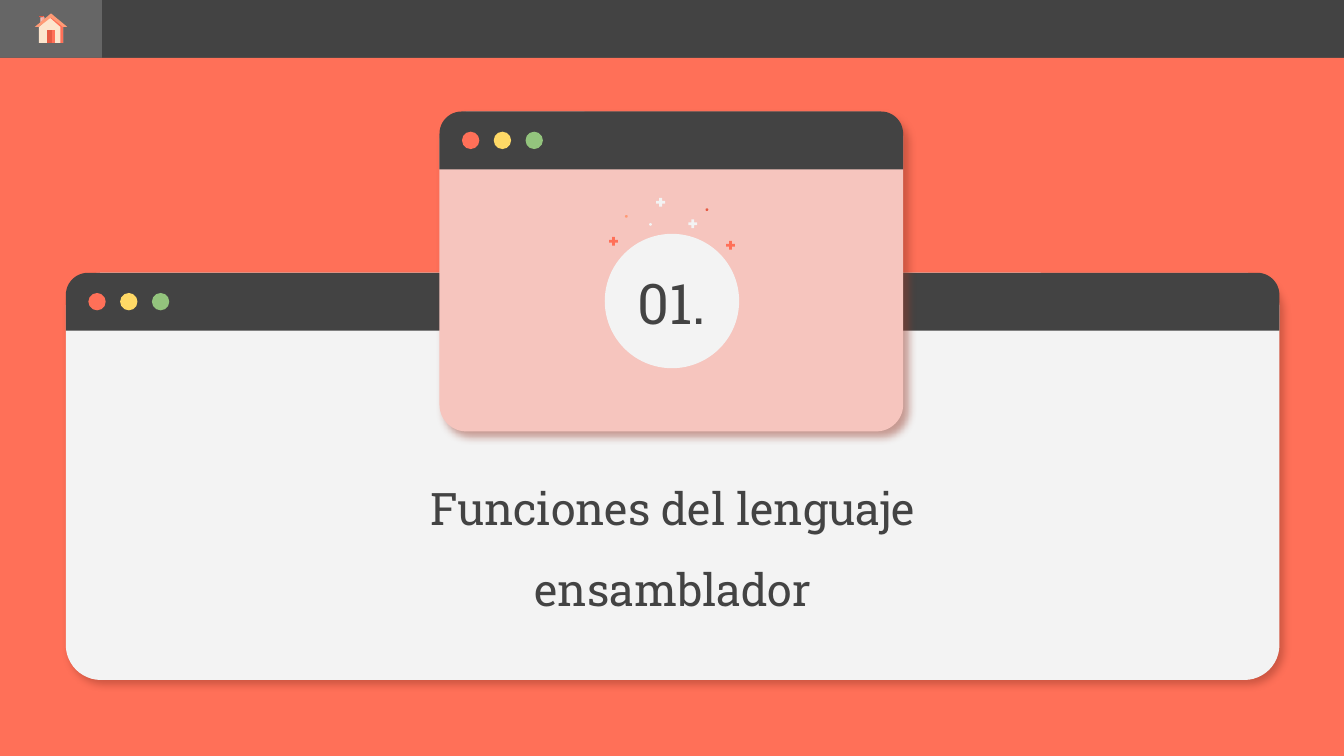
from lxml import etree
from pptx import Presentation
from pptx import util as u
from pptx.dml.color import RGBColor
from pptx.enum import shapes, text
from pptx.oxml.ns import qn

CORAL = RGBColor(0xFF, 0x70, 0x58)
DARK = RGBColor(0x43, 0x43, 0x43)
GREY = RGBColor(0x66, 0x66, 0x66)
PALE = RGBColor(0xF3, 0xF3, 0xF3)
PINK = RGBColor(0xF6, 0xC5, 0xBE)
ROSE = RGBColor(0xF9, 0xAB, 0xA0)
YELLOW = RGBColor(0xFF, 0xD9, 0x66)
GREEN = RGBColor(0x93, 0xC4, 0x7D)
RED = RGBColor(0xE5, 0x5A, 0x43)
ORANGE = RGBColor(0xFF, 0x9A, 0x75)
CREAM = RGBColor(0xFC, 0xE5, 0xCD)
SHADOW = RGBColor(0x96, 0x3A, 0x2A)

FONT = "Roboto Slab"
W = 10
H = W * 9 / 16
BAR = 0.43
KIND = shapes.MSO_SHAPE


def paint(sp, color):
    sp.shadow.inherit = False
    sp.fill.solid()
    sp.fill.fore_color.rgb = color
    sp.line.fill.background()


def add_shape(parent, kind, box, color, adj=()):
    sp = parent.shapes.add_shape(kind, *map(u.Inches, box))
    paint(sp, color)
    for i, value in enumerate(adj):
        sp.adjustments[i] = value
    return sp


def cast_shadow(sp):
    effects = sp._element.spPr.find(qn("a:effectLst"))
    shadow = etree.SubElement(
        effects, qn("a:outerShdw"), blurRad=str(u.Pt(4.5)), dist=str(u.Pt(3.8)),
        dir=str(49 * 60000), algn="bl", rotWithShape="0")
    color = etree.SubElement(shadow, qn("a:srgbClr"), val=str(SHADOW))
    etree.SubElement(color, qn("a:alpha"), val="47000")


def add_window(s, box, color, corner):
    x, y, w, h = box
    group = s.shapes.add_group_shape()
    cast_shadow(add_shape(group, KIND.ROUNDED_RECTANGLE, box, color, [corner]))
    add_shape(group, KIND.ROUND_2_SAME_RECTANGLE, (x, y, w, BAR), DARK, [0.383, 0])
    dot = BAR * 0.3
    for i, dot_color in enumerate((CORAL, YELLOW, GREEN)):
        left = x + BAR * (0.39 + 0.55 * i)
        add_shape(group, KIND.OVAL, (left, y + BAR * 0.35, dot, dot), dot_color)


def add_badge(s, box):
    x, y, w, h = box
    group = s.shapes.add_group_shape()
    add_shape(group, KIND.OVAL, box, PALE)
    pluses = [(0.02, 0.01, CORAL), (0.89, 0.04, CORAL),
              (0.61, -0.12, PALE), (0.37, -0.28, PALE)]
    specks = [(0.75, -0.19, RED), (0.33, -0.08, PALE), (0.15, -0.14, ORANGE)]
    for kind, size, adj, marks in ((KIND.MATH_PLUS, 0.09, [0.235], pluses),
                                   (KIND.OVAL, 0.02, [], specks)):
        for dx, dy, color in marks:
            mark = (x + dx * w, y + dy * h, size * w, size * h)
            add_shape(group, kind, mark, color, adj)


def write(sp, box, words, size, spacing):
    sp.left, sp.top, sp.width, sp.height = map(u.Inches, box)
    tf = sp.text_frame
    tf.word_wrap = True
    tf.auto_size = text.MSO_AUTO_SIZE.NONE
    tf.vertical_anchor = text.MSO_ANCHOR.MIDDLE
    tf.margin_left = tf.margin_right = tf.margin_top = tf.margin_bottom = u.Inches(0.1)
    p = tf.paragraphs[0]
    p.alignment = text.PP_ALIGN.CENTER
    p.line_spacing = spacing
    r = p.add_run()
    r.text = words
    r.font.size = u.Pt(size)
    r.font.name = FONT
    r.font.color.rgb = DARK


def add_navigation(s, box, home_width, tabs):
    x, y, w, h = box
    add_shape(s, KIND.RECTANGLE, box, DARK)
    add_shape(s, KIND.RECTANGLE, (x, y, home_width, h), GREY)
    tab = (w - home_width) / tabs
    for i in range(tabs):
        add_shape(s, KIND.RECTANGLE, (x + home_width + i * tab, y, tab, h), DARK)


def add_house(s, box):
    x, y, w, h = box
    group = s.shapes.add_group_shape()
    parts = [
        (PINK, [(4, 3), (4, 7), (7, 4), (7, 3)]),
        (ROSE, [(5, 3), (5, 6), (7, 4), (7, 3)]),
        (CREAM, [(12, 2), (3, 10), (3, 22), (21, 22), (21, 10)]),
        (CORAL, [(12, 2), (11, 3), (19, 10), (19, 22), (21, 22), (21, 10)]),
        (RED, [(3, 2), (3, 3), (7, 3), (7, 2)]),
        (RED, [(9, 12), (9, 22), (15, 22), (15, 12)]),
        (CORAL, [(13, 12), (13, 22), (15, 22), (15, 12)]),
        (ORANGE, [(12, 0), (0, 10), (3, 10), (12, 3), (21, 10), (24, 10)]),
        (CORAL, [(6, 2), (6, 3), (7, 3), (7, 2)]),
    ]
    for color, cells in parts:
        points = [(u.Inches(x + c * w / 24), u.Inches(y + r * h / 22)) for c, r in cells]
        outline = group.shapes.build_freeform(*points[0])
        outline.add_line_segments(points[1:], close=True)
        paint(outline.convert_to_shape(), color)


def main():
    prs = Presentation()
    prs.slide_width, prs.slide_height = u.Inches(W), u.Inches(H)
    s = prs.slides.add_slide(prs.slide_layouts[5])
    s.background.fill.solid()
    s.background.fill.fore_color.rgb = CORAL

    add_window(s, (0.49, 2.03, 9.03, 3.03), PALE, 0.086)
    title = s.shapes.title
    s.shapes._spTree.append(title._element)
    write(title, (2.71, 3.65, 4.59, 0.66), "Funciones del lenguaje ensamblador", 24, 1.5)

    add_window(s, (3.27, 0.83, 3.45, 2.38), PINK, 0.084)
    add_badge(s, (4.5, 1.74, 1, 1))
    number = s.shapes.add_textbox(0, 0, 0, 0)
    write(number, (4.42, 1.96, 1.16, 0.57), "01.", 30, 1)

    add_navigation(s, (0, 0, W, BAR), 0.76, 6)
    add_house(s, (0.26, 0.1, 0.24, 0.22))
    prs.save("out.pptx")


if __name__ == "__main__":
    main()
